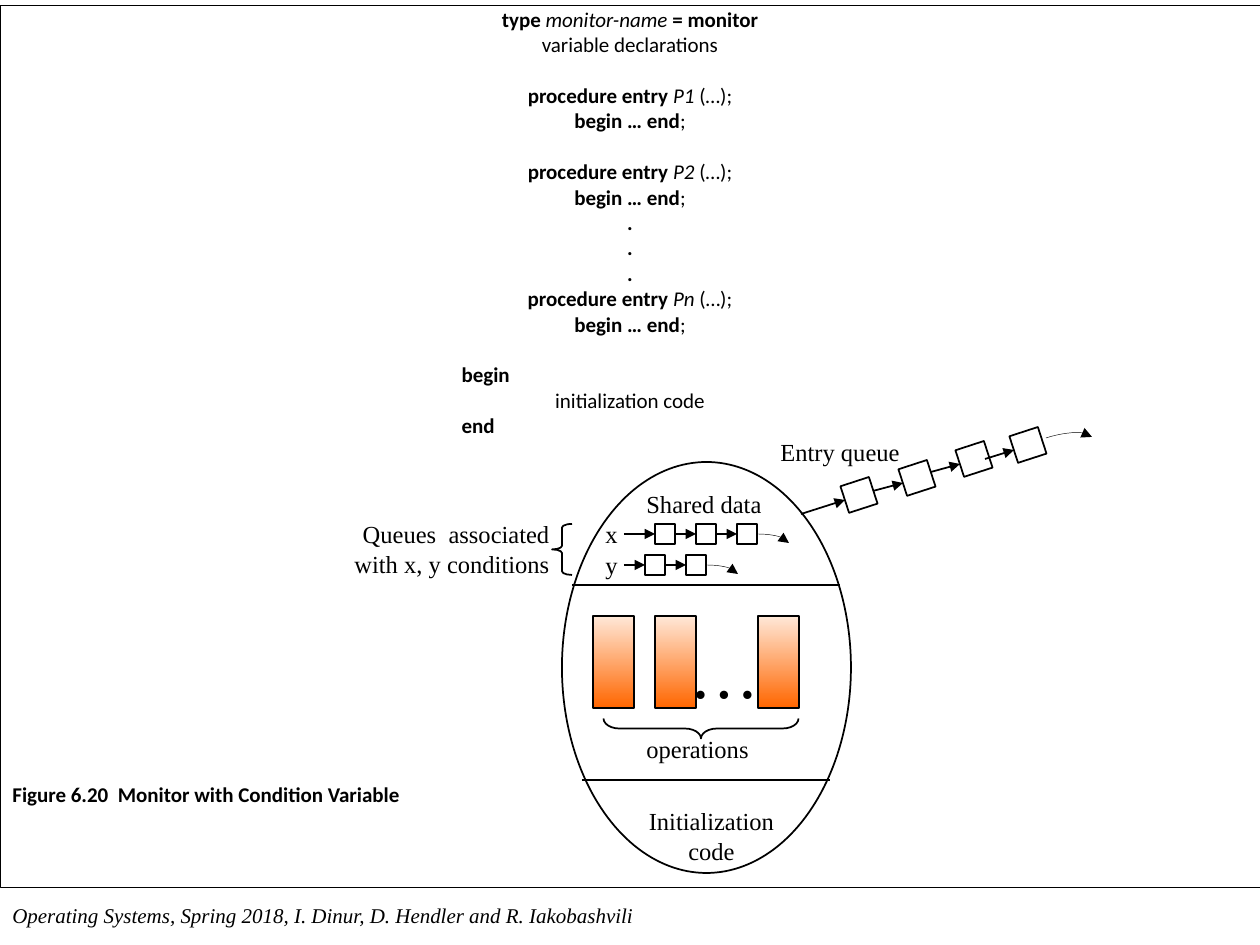
from lxml import etree
from pptx import Presentation
from pptx.dml.color import RGBColor
from pptx.enum.shapes import MSO_CONNECTOR, MSO_SHAPE
from pptx.enum.text import MSO_ANCHOR, MSO_AUTO_SIZE, PP_ALIGN
from pptx.oxml.ns import qn
from pptx.util import Emu, Pt

STRAIGHT = MSO_CONNECTOR.STRAIGHT
RECTANGLE, OVAL, BRACE = MSO_SHAPE.RECTANGLE, MSO_SHAPE.OVAL, MSO_SHAPE.LEFT_BRACE
LEFT, CENTER, RIGHT = PP_ALIGN.LEFT, PP_ALIGN.CENTER, PP_ALIGN.RIGHT
PX_PER_INCH = 126
BLACK, WHITE = "000000", "FFFFFF"
SERIF, SANS = "Times New Roman", "Calibri"
LINE_GAP, BLOCK_GAP = 3, 17.5
CODE_INDENT = 449


def px(value):
    return Emu(round(value * 914400 / PX_PER_INCH))


def color(value):
    return RGBColor.from_string(value)


def style_font(font, name, size, bold=False, italic=False):
    font.name, font.size = name, Pt(size)
    font.bold, font.italic = bold, italic
    font.color.rgb = color(BLACK)


def style_line(shape, width):
    shape.line.color.rgb = color(BLACK)
    shape.line.width = Pt(width)


def add_arrowhead(shape):
    etree.SubElement(shape.line._get_or_add_ln(), qn("a:tailEnd"), type="triangle")


def add_label(page, text, left, top, width, height, align=LEFT,
              name=SERIF, size=14, bold=False, italic=False):
    box = page.shapes.add_textbox(px(left), px(top), px(width), px(height))
    frame = box.text_frame
    frame.text = text
    frame.word_wrap = True
    para = frame.paragraphs[0]
    para.alignment = align
    style_font(para.runs[0].font, name, size, bold, italic)


def add_outlined(page, kind, left, top, width, height, fill=WHITE, rotation=0):
    shape = page.shapes.add_shape(kind, px(left), px(top), px(width), px(height))
    shape.shadow.inherit = False
    shape.rotation = rotation
    if fill:
        shape.fill.solid()
        shape.fill.fore_color.rgb = color(fill)
    else:
        shape.fill.background()
    style_line(shape, 1)
    return shape


def add_operation(page, left):
    bar = add_outlined(page, RECTANGLE, left, 616, 41, 92)
    bar.fill.gradient()
    bar.fill.gradient_angle = 270
    for stop, position, tint in zip(bar.fill.gradient_stops, (0, 1), ("FFE8D8", "FF6600")):
        stop.position = position
        stop.color.rgb = color(tint)


def add_brace(page, left, top, width, height, curl, rotation=0):
    brace = add_outlined(page, BRACE, left, top, width, height, None, rotation)
    brace.adjustments[0] = curl


def add_line(page, start, end, arrow=False):
    line = page.shapes.add_connector(STRAIGHT, *map(px, start + end))
    style_line(line, 1)
    if arrow:
        add_arrowhead(line)
    etree.SubElement(line._element.spPr, qn("a:effectLst"))
    return line


def add_curved_arrow(page, controls, steps=12):
    points = []
    for step in range(steps + 1):
        t = step / steps
        weights = ((1 - t) ** 3, 3 * t * (1 - t) ** 2, 3 * t * t * (1 - t), t ** 3)
        points.append(tuple(
            px(sum(weight * point[axis] for weight, point in zip(weights, controls)))
            for axis in (0, 1)))
    builder = page.shapes.build_freeform(*points[0])
    builder.add_line_segments(points[1:], close=False)
    curve = builder.convert_to_shape()
    curve.shadow.inherit = False
    curve.fill.background()
    style_line(curve, 0.25)
    add_arrowhead(curve)


def add_condition_queue(page, first_left, middle, count):
    side, step = 20, 41
    previous = None
    for index in range(count):
        left = first_left + index * step
        item = add_outlined(page, RECTANGLE, left, middle - side // 2, side, side)
        start = 624 if previous is None else left - step + side
        arrow = add_line(page, (start, middle), (left, middle), arrow=True)
        if previous is not None:
            arrow.begin_connect(previous, 3)
        arrow.end_connect(item, 1)
        previous = item
    end = left + side + 1
    add_curved_arrow(page, [(end, middle), (end + 16, middle),
                            (end + 30, middle + 4), (end + 31, middle + 9)])


def add_entry_queue(page):
    width, height = 30, 28
    centers = [(859, 495), (917, 478), (974, 459), (1028, 445)]
    starts = [(801, 514), (873, 491), (931, 472), (985, 459)]
    for start, (x, y) in zip(starts, centers):
        add_line(page, start, (x - 14, y + 5), arrow=True)
        add_outlined(page, RECTANGLE, x - width / 2, y - height / 2, width, height, rotation=342)
    add_curved_arrow(page, [(1046, 438), (1068, 431), (1089, 431), (1092, 437)])
    add_label(page, "Entry queue", 768, 431, 155, 43)


def procedure_lines(name, gap):
    return [
        (gap, 0, [("procedure entry ", "b"), (name, "i"), (" (…);", "")]),
        (LINE_GAP, 0, [("begin … end", "b"), (";", "")]),
    ]


def monitor_lines():
    return [
        (0, 0, [("type ", "b"), ("monitor-name ", "i"), ("= monitor", "b")]),
        (LINE_GAP, 0, [("variable declarations", "")]),
        *procedure_lines("P1", BLOCK_GAP),
        *procedure_lines("P2", BLOCK_GAP),
        *[(LINE_GAP, 0, [(".", "b")])] * 3,
        *procedure_lines("Pn", LINE_GAP),
        (BLOCK_GAP, CODE_INDENT, [("begin", "b")]),
        (LINE_GAP, 0, [("initialization code", "")]),
        (LINE_GAP, CODE_INDENT, [("end", "b")]),
    ]


def fill_monitor_code(body):
    body.left, body.top, body.width, body.height = px(0), px(5), px(1260), px(882)
    body.fill.solid()
    body.fill.fore_color.rgb = color(WHITE)
    style_line(body, 0.5)
    frame = body.text_frame
    frame.auto_size = MSO_AUTO_SIZE.NONE
    frame.vertical_anchor = MSO_ANCHOR.TOP
    for index, (gap, indent, spans) in enumerate(monitor_lines()):
        para = frame.add_paragraph() if index else frame.paragraphs[0]
        properties = para._p.get_or_add_pPr()
        properties.set("marL", str(px(indent)))
        properties.set("indent", "0")
        etree.SubElement(properties, qn("a:buNone"))
        para.alignment = LEFT if indent else CENTER
        para.line_spacing = 0.8
        para.space_before = Pt(gap)
        for text, style in spans:
            span = para.add_run()
            span.text = text
            style_font(span.font, SANS, 12, style == "b", style == "i")


def add_monitor(page):
    add_outlined(page, OVAL, 562, 462, 289, 411)
    add_label(page, "Shared data", 634, 483, 165, 43)
    for name, top, first_left, count in (("x", 513, 655, 3), ("y", 544, 645, 2)):
        add_label(page, name, 593, top, 42, 43)
        add_condition_queue(page, first_left, top + 21, count)
    add_line(page, (572, 585), (840, 585))
    add_brace(page, 552, 524, 20, 51, 0.18)
    add_label(page, "Queues  associated with x, y conditions", 305, 513, 257, 72, RIGHT)
    add_operation(page, 593)
    add_label(page, "…", 674, 622, 95, 92, RIGHT, size=40, italic=True)
    for left in (655, 758):
        add_operation(page, left)
    add_brace(page, 691, 631, 20, 195, 0.8, 270)
    add_label(page, "operations", 634, 728, 134, 43)
    add_line(page, (582, 780), (830, 780))
    add_label(page, "Initialization code", 634, 800, 155, 72, CENTER)


def main():
    deck = Presentation()
    deck.slide_width, deck.slide_height = px(1260), px(945)
    page = deck.slides.add_slide(deck.slide_layouts[1])
    title = page.shapes.title._element
    title.getparent().remove(title)
    fill_monitor_code(page.placeholders[1])
    add_label(page, "Figure 6.20  Monitor with Condition Variable", 0, 775, 500, 38,
              name=SANS, size=12, bold=True)
    add_monitor(page)
    add_entry_queue(page)
    add_label(page, "Operating Systems, Spring 2018, I. Dinur, D. Hendler and R. Iakobashvili",
              0, 896, 955, 49, size=12, italic=True)
    deck.save("out.pptx")


if __name__ == "__main__":
    main()
